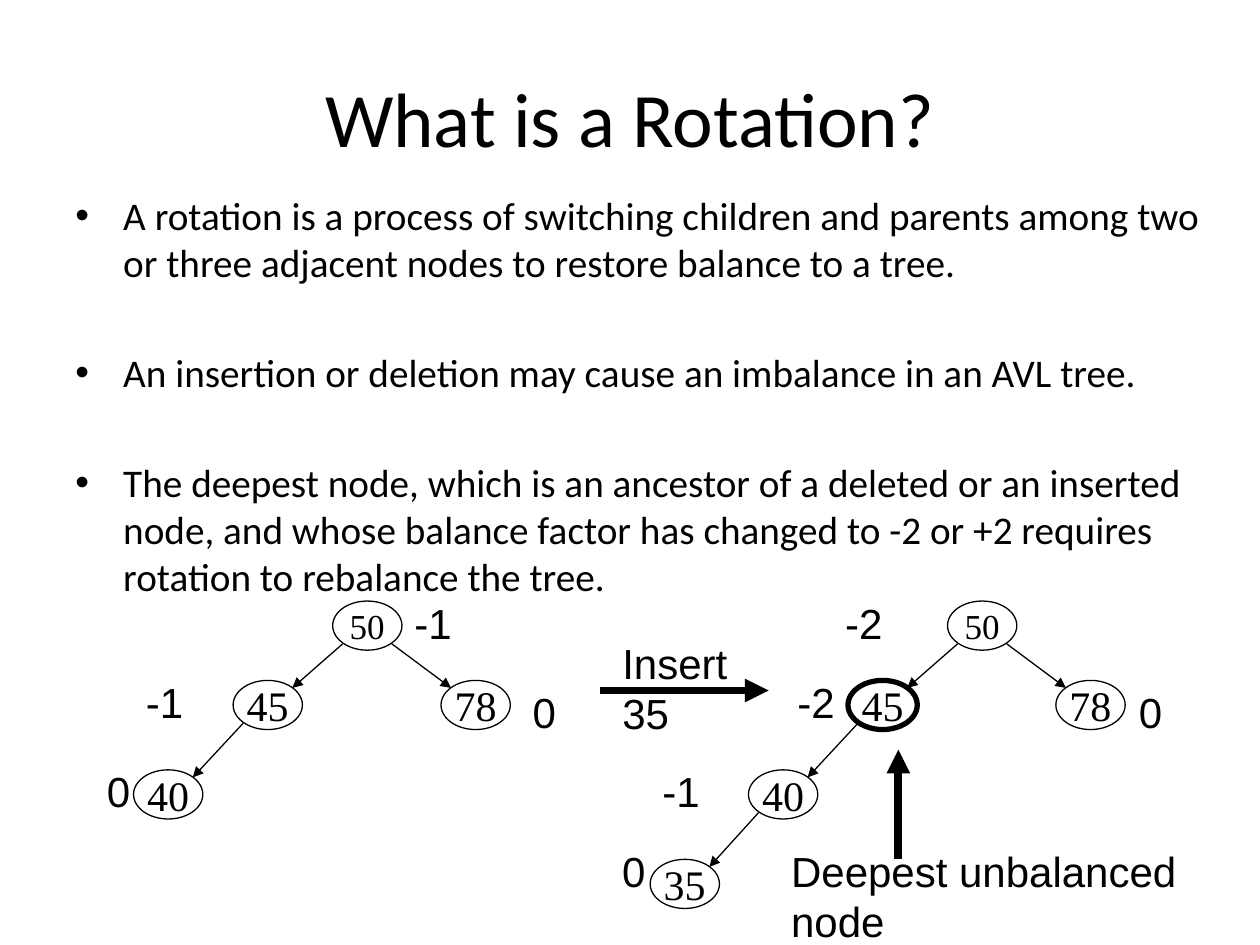
from pptx import Presentation, util as u
from pptx.dml.color import RGBColor
from pptx.enum import shapes, text
from pptx.oxml import parse_xml
from pptx.oxml.ns import nsdecls, qn
from lxml import etree

Inches, Pt = u.Inches, u.Pt
COLORS = {"ink": "000000"}
INK = RGBColor.from_string(COLORS["ink"])


def add_run(p, words, size, face):
    r = p.add_run()
    r.text = words
    r.font.size = Pt(size)
    r.font.name = face
    r.font.color.rgb = INK


def add_arrow(x1, y1, x2, y2, weight):
    c = s.shapes.add_connector(shapes.MSO_CONNECTOR.STRAIGHT,
                               Inches(x1), Inches(y1), Inches(x2), Inches(y2))
    c.line.color.rgb = INK
    c.line.width = Pt(weight)
    ln = c.line._get_or_add_ln()
    etree.SubElement(ln, qn("a:tailEnd"), type="triangle")
    etree.SubElement(c._element.spPr, qn("a:effectLst"))


prs = Presentation()
prs.slide_width, prs.slide_height = Inches(10), Inches(7.5)
s = prs.slides.add_slide(prs.slide_layouts[5])

title = s.shapes.title
title.left, title.top = Inches(0.5), Inches(0.3)
title.width, title.height = Inches(9), Inches(1.25)
tf = title.text_frame
tf.vertical_anchor = text.MSO_ANCHOR.MIDDLE
p = tf.paragraphs[0]
p.alignment = text.PP_ALIGN.CENTER
add_run(p, "What is a Rotation?", 44, "Calibri")

points = [
    "A rotation is a process of switching children and parents among two "
    "or three adjacent nodes to restore balance to a tree.",
    "An insertion or deletion may cause an imbalance in an AVL tree.",
    "The deepest node, which is an ancestor of a deleted or an inserted node, "
    "and whose balance factor has changed to -2 or +2 requires rotation "
    "to rebalance the tree.",
]
body = s.shapes.add_textbox(Inches(0.5), Inches(1.47), Inches(9.23), Inches(3.07))
tf = body.text_frame
tf.word_wrap = True
for i, point in enumerate(points):
    p = tf.paragraphs[0] if i == 0 else tf.add_paragraph()
    pPr = p._p.get_or_add_pPr()
    pPr.set("marL", str(Inches(0.38)))
    pPr.set("indent", str(-Inches(0.38)))
    pPr.append(parse_xml(f'<a:buFont {nsdecls("a")} typeface="Arial"/>'))
    pPr.append(parse_xml(f'<a:buChar {nsdecls("a")} char="•"/>'))
    if i:
        p.space_before = Pt(36)
    add_run(p, point, 22.4, "Calibri")

TREE_STEP = 4.88
nodes = [("50", 2.64, 4.77), ("45", 1.85, 5.4), ("78", 3.5, 5.4), ("40", 1.06, 6.11)]
edges = [(2.72, 5.11, 2.32, 5.46), (3.11, 5.11, 3.58, 5.46), (1.93, 5.74, 1.53, 6.17)]
new_node = ("35", 0.28, 6.82)
new_edge = (1.14, 6.45, 0.75, 6.88)

for dx, tree_nodes, tree_edges, unbalanced in [
    (0, nodes, edges, None),
    (TREE_STEP, nodes + [new_node], edges + [new_edge], "45"),
]:
    for key, x, y in tree_nodes:
        sp = s.shapes.add_shape(shapes.MSO_SHAPE.OVAL, Inches(x + dx), Inches(y),
                                Inches(0.55), Inches(0.39))
        sp.shadow.inherit = False
        sp.fill.background()
        sp.line.color.rgb = INK
        sp.line.width = Pt(3 if key == unbalanced else 0.75)
        tf = sp.text_frame
        tf.word_wrap = False
        tf.vertical_anchor = text.MSO_ANCHOR.MIDDLE
        p = tf.paragraphs[0]
        p.alignment = text.PP_ALIGN.CENTER
        add_run(p, key, 20 if key == "50" else 24, "Times New Roman")
    for x1, y1, x2, y2 in tree_edges:
        add_arrow(x1 + dx, y1, x2 + dx, y2, 0.75)

add_arrow(4.76, 5.48, 6.1, 5.48, 4.5)
add_arrow(7.13, 6.82, 7.13, 5.95, 4.5)

labels = [
    ("-1", 3.19, 4.69, 0.86, 0.5),
    ("-1", 1.06, 5.32, 0.87, 0.5),
    ("0", 4.13, 5.4, 0.47, 0.4),
    ("0", 0.75, 6.03, 0.47, 0.4),
    ("-2", 6.61, 4.69, 0.99, 0.5),
    ("-2", 6.23, 5.32, 0.58, 0.5),
    ("0", 8.94, 5.4, 0.47, 0.4),
    ("-1", 5.16, 6.03, 0.94, 0.5),
    ("0", 4.84, 6.66, 0.47, 0.4),
    ("Insert 35", 4.84, 5.01, 1.18, 0.4),
    ("Deepest unbalanced node", 6.18, 6.66, 3.82, 0.91),
]
for words, x, y, w, h in labels:
    sp = s.shapes.add_textbox(Inches(x), Inches(y), Inches(w), Inches(h))
    tf = sp.text_frame
    tf.word_wrap = True
    add_run(tf.paragraphs[0], words, 24, "Arial")

prs.save("out.pptx")
